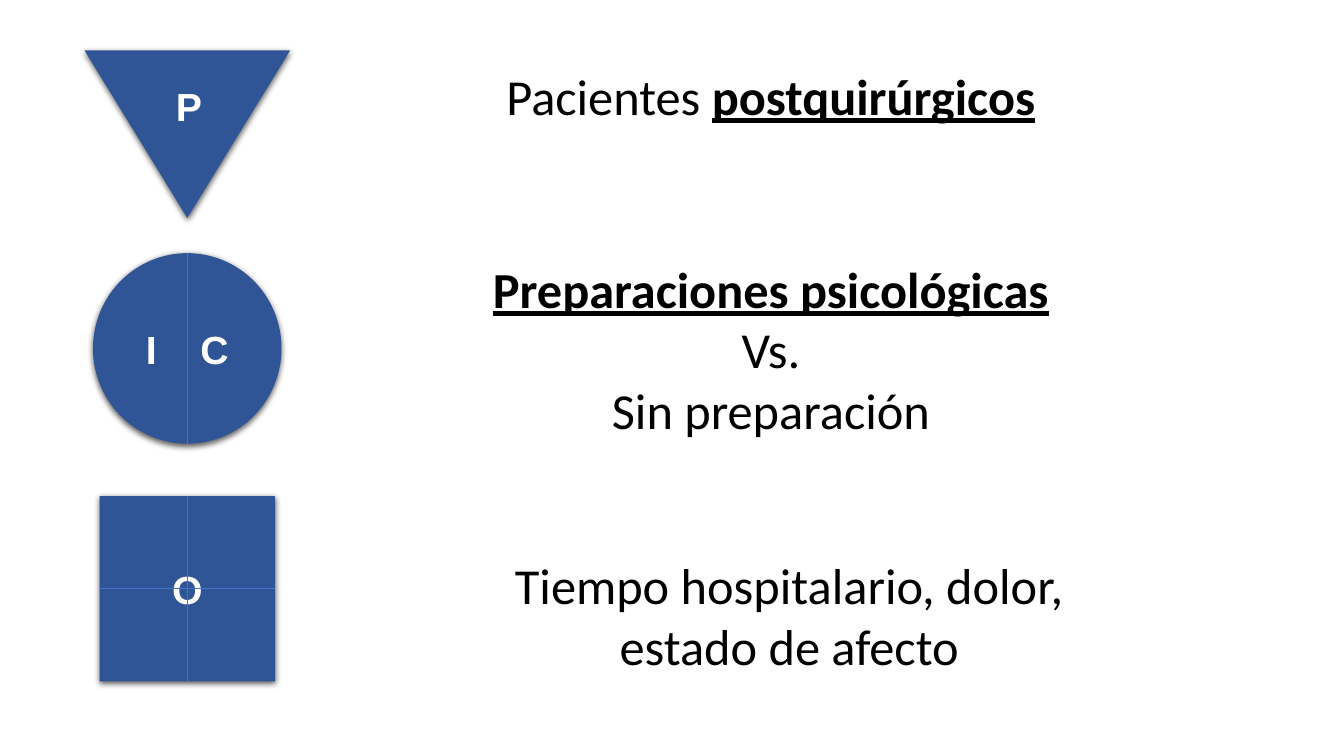
import pptx
import pptx.util
import pptx.dml.color
import pptx.enum.shapes
import pptx.enum.text
import pptx.oxml
import pptx.oxml.ns

Cm, Pt = pptx.util.Cm, pptx.util.Pt
RGB = pptx.dml.color.RGBColor
KIND = pptx.enum.shapes.MSO_SHAPE
LINK = pptx.enum.shapes.MSO_CONNECTOR
ALIGN = pptx.enum.text.PP_ALIGN
ANCHOR = pptx.enum.text.MSO_ANCHOR
SIZE = pptx.enum.text.MSO_AUTO_SIZE

NAVY = RGB(0x2F, 0x55, 0x97)
BLUE = RGB(0x44, 0x72, 0xC4)
WHITE = RGB(0xFF, 0xFF, 0xFF)
BLACK = RGB(0, 0, 0)

LETTER = {"name": "Arial", "size": Pt(28), "bold": True}
PLAIN = {"name": "Calibri", "size": Pt(36)}
STRONG = {**PLAIN, "bold": True, "underline": True}

AXIS = 4.72
SHADOW = (
    '<a:effectLst %s><a:outerShdw blurRad="57150" dist="19050" dir="5400000" '
    'algn="ctr" rotWithShape="0"><a:srgbClr val="000000"><a:alpha val="63000"/>'
    '</a:srgbClr></a:outerShdw></a:effectLst>' % pptx.oxml.ns.nsdecls("a")
)
FLAT = "<a:effectLst %s/>" % pptx.oxml.ns.nsdecls("a")


def effect(item, xml):
    item._element.spPr.append(pptx.oxml.parse_xml(xml))


def write(para, text, style, color):
    run = para.add_run()
    run.text = text
    for key, value in style.items():
        setattr(run.font, key, value)
    run.font.color.rgb = color
    return run


def figure(slide, kind, top, width, height):
    left = AXIS - width / 2
    shape = slide.shapes.add_shape(kind, Cm(left), Cm(top), Cm(width), Cm(height))
    shape.fill.solid()
    shape.fill.fore_color.rgb = NAVY
    shape.line.fill.background()
    effect(shape, SHADOW)
    shape.text_frame.vertical_anchor = ANCHOR.MIDDLE
    para = shape.text_frame.paragraphs[0]
    para.alignment = ALIGN.CENTER
    return shape, para


def rule(slide, x1, y1, x2, y2):
    line = slide.shapes.add_connector(LINK.STRAIGHT, Cm(x1), Cm(y1), Cm(x2), Cm(y2))
    line.line.color.rgb = BLUE
    line.line.width = Pt(0.5)
    effect(line, FLAT)


def label(slide, mid, top, width, height, lines, color=BLACK, wrap=True):
    left = mid - width / 2
    box = slide.shapes.add_textbox(Cm(left), Cm(top), Cm(width), Cm(height))
    frame = box.text_frame
    frame.word_wrap = wrap
    frame.auto_size = SIZE.SHAPE_TO_FIT_TEXT
    for index, runs in enumerate(lines):
        para = frame.add_paragraph() if index else frame.paragraphs[0]
        para.alignment = ALIGN.CENTER
        for text, style in runs:
            write(para, text, style, color)


def main():
    deck = pptx.Presentation()
    deck.slide_width, deck.slide_height = Cm(33.87), Cm(19.05)
    slide = deck.slides.add_slide(deck.slide_layouts[6])

    cone, _ = figure(slide, KIND.ISOSCELES_TRIANGLE, 1.27, 5.18, 4.22)
    cone.rotation = 180
    _, pair = figure(slide, KIND.OVAL, 6.38, 4.75, 4.8)
    write(pair, "I", LETTER, WHITE)
    gap = write(pair, " ", LETTER, WHITE)
    gap.font._element.set("spc", "2340")
    write(pair, "C", LETTER, WHITE)
    _, goal = figure(slide, KIND.RECTANGLE, 12.5, 4.42, 4.67)
    write(goal, "O", LETTER, WHITE)
    label(slide, AXIS, 1.96, 1.07, 1.45, [[("P", LETTER)]], WHITE, False)

    rule(slide, AXIS, 6.38, AXIS, 11.18)
    rule(slide, AXIS, 12.5, AXIS, 17.17)
    rule(slide, AXIS - 2.21, 14.83, AXIS + 2.21, 14.83)

    label(slide, 19.43, 1.52, 18.69, 1.8,
          [[("Pacientes ", PLAIN), ("postquirúrgicos", STRONG)]])
    label(slide, 19.43, 6.38, 14.68, 4.88,
          [[("Preparaciones psicológicas", STRONG)],
           [("Vs.", PLAIN)],
           [("Sin preparación", PLAIN)]], wrap=False)
    label(slide, 19.89, 13.84, 17.83, 3.33,
          [[("Tiempo hospitalario, dolor, estado de afecto", PLAIN)]])
    deck.save("out.pptx")


if __name__ == "__main__":
    main()
